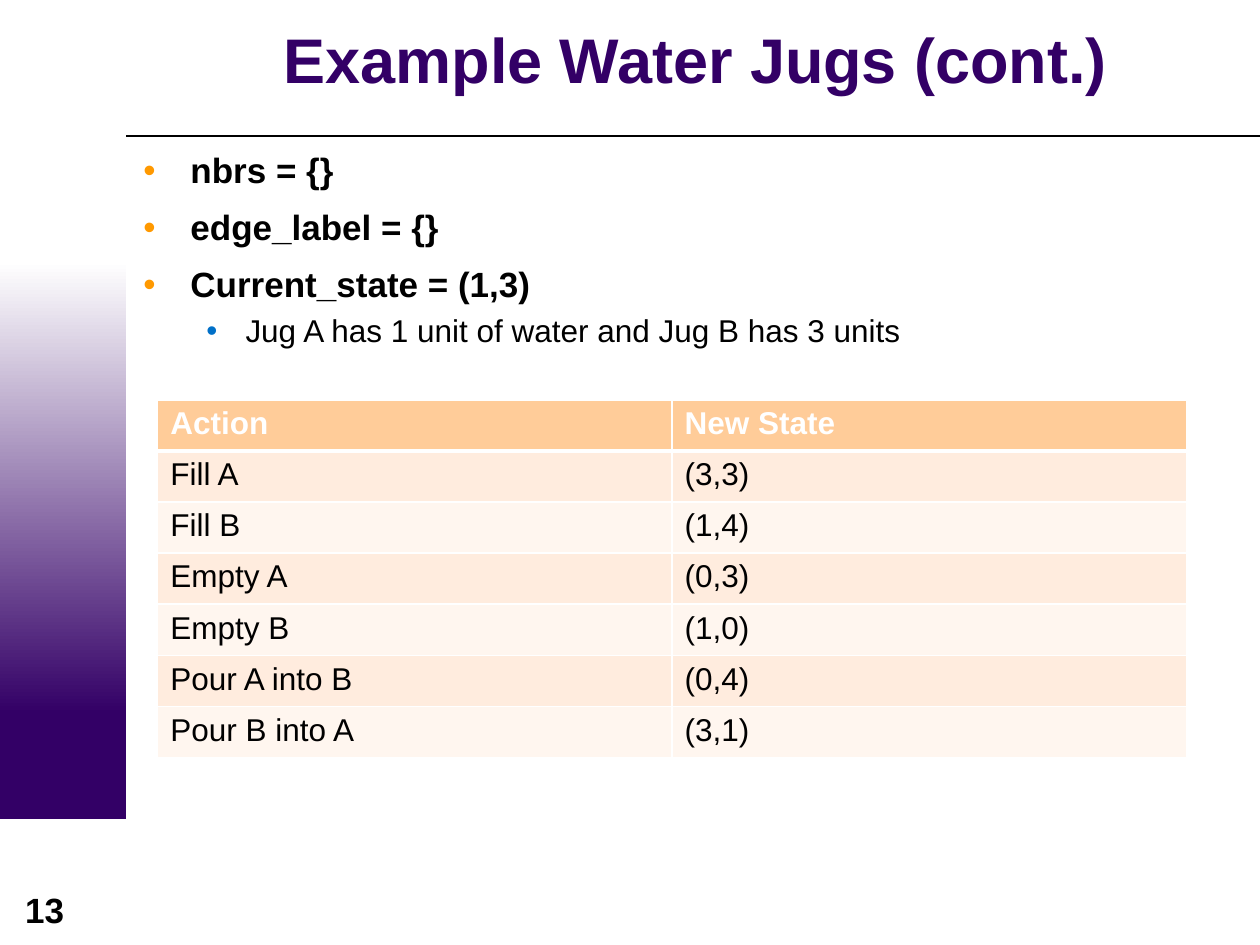
from lxml import etree
from pptx import Presentation, util as u
from pptx.dml.color import RGBColor
from pptx.enum import shapes, text
from pptx.oxml import ns

TITLE = "Example Water Jugs (cont.)"
PAGE_NUMBER = "13"
BULLETS = [  # (level, text)
    (0, "nbrs = {}"),
    (0, "edge_label = {}"),
    (0, "Current_state = (1,3)"),
    (1, "Jug A has 1 unit of water and Jug B has 3 units"),
]
MOVES = [
    ("Action", "New State"),
    ("Fill A", "(3,3)"),
    ("Fill B", "(1,4)"),
    ("Empty A", "(0,3)"),
    ("Empty B", "(1,0)"),
    ("Pour A into B", "(0,4)"),
    ("Pour B into A", "(3,1)"),
]
COLORS = {
    "purple": "330066", "white": "FFFFFF", "black": "000000",
    "orange": "FF9900", "blue": "0070C8",
    "header": "FFCC99", "odd": "FFECDE", "even": "FFF6EF",
}
LEVELS = [
    dict(size=20, bold=True, before=5.5, left=0.95, hang=0.95, bullet="orange"),
    dict(size=18, bold=False, before=0, left=2.06, hang=0.79, bullet="blue"),
]
FONT = "Arial"
BAND_WIDTH = 2.54
ROW_HEIGHT = 1.03
COLUMN_WIDTH = 10.37


def rgb(name):
    return RGBColor.from_string(COLORS[name])


def area(left, top, width, height):
    return [u.Cm(value) for value in (left, top, width, height)]


def style(para, size, color="black", bold=False):
    for span in para.runs:
        span.font.name = FONT
        span.font.size = u.Pt(size)
        span.font.bold = bold
        span.font.color.rgb = rgb(color)


def add_band(page, top, height):
    box = page.shapes.add_shape(shapes.MSO_SHAPE.RECTANGLE, *area(0, top, BAND_WIDTH, height))
    box.shadow.inherit = False
    box.line.fill.background()
    return box


def add_sidebar(page):
    solid = add_band(page, 13.97, 2.54)
    solid.fill.solid()
    solid.fill.fore_color.rgb = rgb("purple")

    fade = add_band(page, 5.28, 9.1).fill
    fade.gradient()
    fade.gradient_angle = 270
    for stop, position, color in zip(fade.gradient_stops, (0, 1), ("white", "purple")):
        stop.position = position
        stop.color.rgb = rgb(color)


def add_rule(page):
    y = u.Cm(2.74)
    rule = page.shapes.add_connector(
        shapes.MSO_CONNECTOR.STRAIGHT, u.Cm(BAND_WIDTH), y, u.Cm(25.4), y)
    rule.line.color.rgb = rgb("black")
    rule.line.width = u.Pt(0.75)
    etree.SubElement(rule._element.spPr, ns.qn("a:effectLst"))


def add_text(page, place, lines):
    frame = page.shapes.add_textbox(*area(*place)).text_frame
    frame.word_wrap = True
    frame.text = "\n".join(lines)
    return frame


def add_title(page):
    frame = add_text(page, (2.64, 0.08, 22.76, 2.44), [TITLE])
    frame.margin_top = frame.margin_bottom = 0
    frame.vertical_anchor = text.MSO_ANCHOR.MIDDLE
    para = frame.paragraphs[0]
    para.alignment = text.PP_ALIGN.CENTER
    para.line_spacing = 0.85
    style(para, 36, "purple", True)


def add_page_number(page):
    para = add_text(page, (-0.05, 17.78, 1.9, 1.12), [PAGE_NUMBER]).paragraphs[0]
    para.alignment = text.PP_ALIGN.CENTER
    style(para, 20, bold=True)


def set_bullet(para, left, hang, color):
    props = para._p.get_or_add_pPr()
    props.set("marL", str(u.Cm(left)))
    props.set("indent", str(-u.Cm(hang)))
    tint = etree.SubElement(props, ns.qn("a:buClr"))
    etree.SubElement(tint, ns.qn("a:srgbClr"), val=COLORS[color])
    etree.SubElement(props, ns.qn("a:buFont"), typeface=FONT)
    etree.SubElement(props, ns.qn("a:buChar"), char="•")


def add_bullets(page):
    frame = add_text(page, (2.64, 2.97, 22.76, 16.08), [line for _, line in BULLETS])
    for para, (level, _) in zip(frame.paragraphs, BULLETS):
        look = LEVELS[level]
        para.level = level
        para.line_spacing = 0.9
        para.space_before = u.Pt(look["before"])
        para.space_after = u.Pt(5.5)
        set_bullet(para, look["left"], look["hang"], look["bullet"])
        style(para, look["size"], bold=look["bold"])


def set_borders(cell, widths):
    """Draw white borders; widths are in points, for left, right, top, bottom."""
    props = cell._tc.get_or_add_tcPr()
    for index, (side, width) in enumerate(zip("LRTB", widths)):
        line = etree.Element(ns.qn(f"a:ln{side}"), w=str(u.Pt(width)))
        fill = etree.SubElement(line, ns.qn("a:solidFill"))
        etree.SubElement(fill, ns.qn("a:srgbClr"), val=COLORS["white"])
        props.insert(index, line)


def add_moves(page):
    rows, columns = len(MOVES), len(MOVES[0])
    place = area(3.18, 8.06, columns * COLUMN_WIDTH, rows * ROW_HEIGHT)
    table = page.shapes.add_table(rows, columns, *place).table
    for r, move in enumerate(MOVES):
        header = r == 0
        fill = "header" if header else ("even", "odd")[r % 2]
        for c, value in enumerate(move):
            cell = table.cell(r, c)
            cell.text_frame.text = value
            style(cell.text_frame.paragraphs[0], 18, "white" if header else "black", header)
            cell.fill.solid()
            cell.fill.fore_color.rgb = rgb(fill)
            set_borders(cell, (1, 1, 3 if r == 1 else 1, 3 if header else 1))


def main():
    deck = Presentation()
    deck.slide_width, deck.slide_height = u.Cm(25.4), u.Cm(19.05)
    page = deck.slides.add_slide(deck.slide_layouts[6])
    add_sidebar(page)
    add_rule(page)
    add_page_number(page)
    add_title(page)
    add_bullets(page)
    add_moves(page)
    deck.save("out.pptx")


if __name__ == "__main__":
    main()
